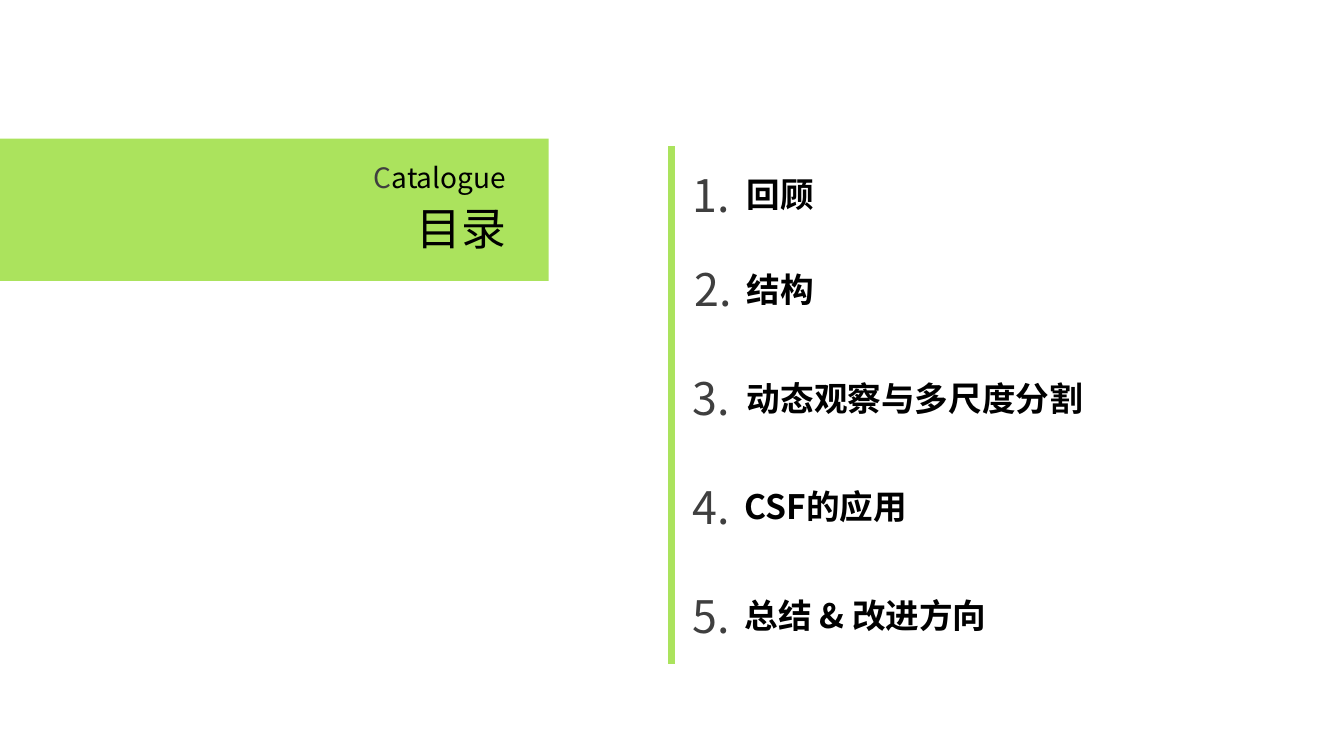
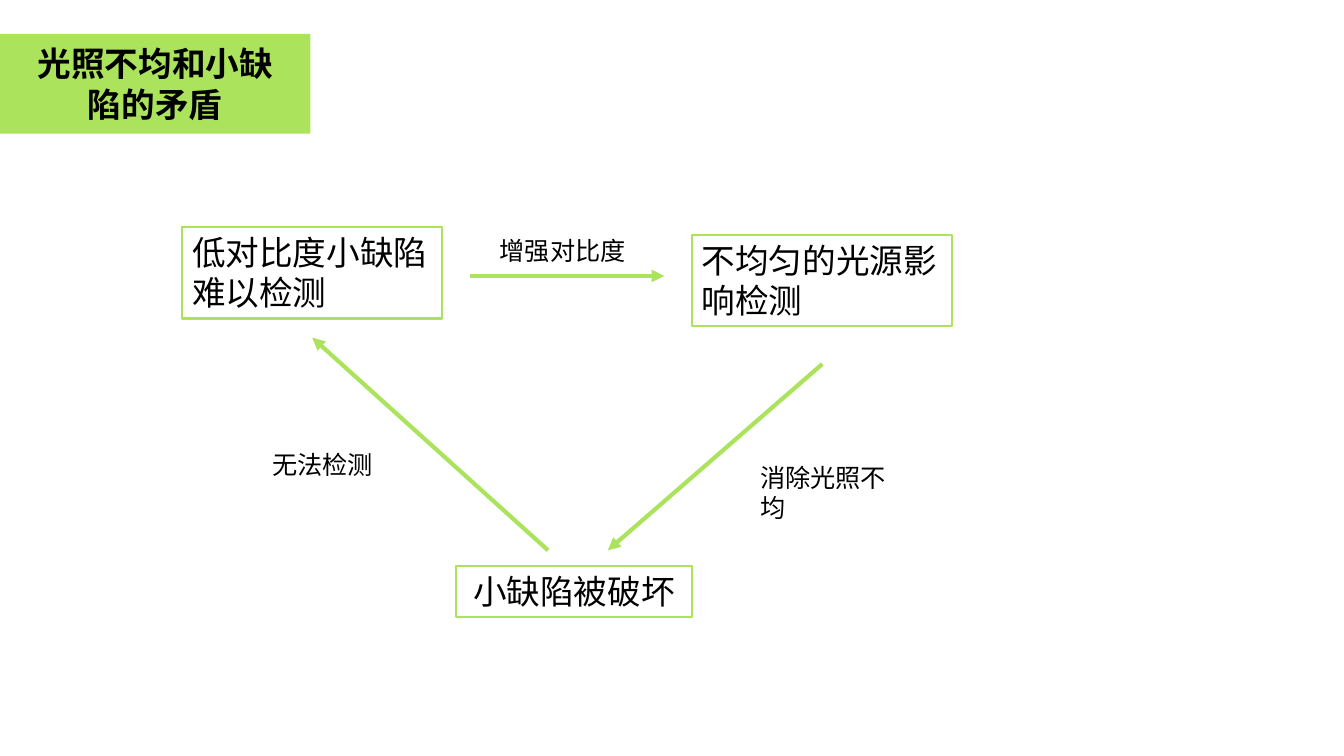
from dataclasses import dataclass
from typing import NamedTuple

from lxml.etree import SubElement
from pptx import Presentation
from pptx.dml.color import RGBColor
from pptx.enum.lang import MSO_LANGUAGE_ID as Lang
from pptx.enum.shapes import MSO_CONNECTOR as Connector
from pptx.enum.shapes import MSO_SHAPE as Preset
from pptx.enum.text import MSO_ANCHOR as Anchor
from pptx.enum.text import MSO_AUTO_SIZE as AutoSize
from pptx.enum.text import PP_ALIGN as Align
from pptx.oxml.ns import qn
from pptx.shapes.autoshape import Shape
from pptx.slide import Slide
from pptx.util import Pt


@dataclass(frozen=True)
class Theme:
    green: RGBColor = RGBColor(0xAB, 0xE3, 0x5D)
    black: RGBColor = RGBColor(0, 0, 0)
    grey: RGBColor = RGBColor(0x3F, 0x3F, 0x3F)
    cjk_font: str = "Noto Sans CJK JP"
    diagram_font: str = "Lato"
    display: float = 32
    heading: float = 24
    subtitle: float = 20
    label: float = 18
    outline: float = 1.5
    arrow: float = 3
    rule: float = 5


THEME = Theme()


class Frame(NamedTuple):
    left: float
    top: float
    width: float
    height: float


class Point(NamedTuple):
    x: float
    y: float


@dataclass(frozen=True)
class Words:
    text: str
    size: float
    color: RGBColor = THEME.black
    bold: bool = False
    font: str = THEME.cjk_font


@dataclass(frozen=True)
class Entry:
    title: str
    number_at: Point
    title_at: Point
    title_width: float


@dataclass(frozen=True)
class Step:
    text: str
    frame: Frame
    align: Align = Align.LEFT


@dataclass(frozen=True)
class Transition:
    label: str
    label_frame: Frame
    start: Point
    end: Point


def write(shape: Shape, runs: list[Words], align: Align, anchor: Anchor,
          inset: bool) -> None:
    frame = shape.text_frame
    frame.word_wrap = True
    frame.auto_size = AutoSize.SHAPE_TO_FIT_TEXT
    frame.vertical_anchor = anchor
    frame.margin_left = frame.margin_right = Pt(7.2 if inset else 0)
    frame.margin_top = frame.margin_bottom = Pt(3.6 if inset else 0)
    paragraph = frame.paragraphs[0]
    paragraph.alignment = align
    for words in runs:
        run = paragraph.add_run()
        run.text = words.text
        font = run.font
        font.language_id = Lang.SIMPLIFIED_CHINESE
        font.size = Pt(words.size)
        font.bold = words.bold
        font.color.rgb = words.color
        font.name = words.font
        SubElement(run._r.rPr, qn("a:ea"), typeface=THEME.cjk_font)


def add_text(slide: Slide, frame: Frame, *runs: Words, align: Align = Align.LEFT,
             anchor: Anchor = Anchor.TOP, inset: bool = False) -> None:
    box = slide.shapes.add_textbox(*map(Pt, frame))
    write(box, list(runs), align, anchor, inset)


def add_rectangle(slide: Slide, frame: Frame) -> Shape:
    rectangle = slide.shapes.add_shape(Preset.RECTANGLE, *map(Pt, frame))
    rectangle.shadow.inherit = False
    return rectangle


def add_band(slide: Slide, frame: Frame) -> None:
    band = add_rectangle(slide, frame)
    band.fill.solid()
    band.fill.fore_color.rgb = THEME.green
    band.line.fill.background()


def add_line(slide: Slide, start: Point, end: Point, width: float,
             arrow: bool = False) -> None:
    line = slide.shapes.add_connector(Connector.STRAIGHT, *map(Pt, start + end))
    line.line.color.rgb = THEME.green
    line.line.width = Pt(width)
    properties = line._element.spPr
    if arrow:
        SubElement(properties.find(qn("a:ln")), qn("a:tailEnd"), type="triangle")
    SubElement(properties, qn("a:effectLst"))


def add_entry(slide: Slide, number: int, entry: Entry) -> None:
    add_text(slide, Frame(*entry.number_at, 30.2, 38.8),
             Words(f"{number}.", THEME.display, THEME.grey), anchor=Anchor.MIDDLE)
    add_text(slide, Frame(*entry.title_at, entry.title_width, 29),
             Words(entry.title, THEME.heading, bold=True))


def add_step(slide: Slide, step: Step) -> None:
    box = add_rectangle(slide, step.frame)
    box.fill.background()
    box.line.color.rgb = THEME.green
    box.line.width = Pt(THEME.outline)
    write(box, [Words(step.text, THEME.heading, font=THEME.diagram_font)],
          step.align, Anchor.TOP, True)


def add_transition(slide: Slide, transition: Transition) -> None:
    add_line(slide, transition.start, transition.end, THEME.arrow, arrow=True)
    add_text(slide, transition.label_frame,
             Words(transition.label, THEME.label, font=THEME.diagram_font), inset=True)


def build_catalogue(slide: Slide) -> None:
    add_band(slide, Frame(0, 99.1, 391.9, 101.5))
    add_text(slide, Frame(200.9, 114.5, 160.6, 24.5),
             Words("C", THEME.subtitle, THEME.grey),
             Words("atalogue", THEME.subtitle),
             align=Align.RIGHT, anchor=Anchor.MIDDLE)
    add_text(slide, Frame(249.8, 143.3, 111.7, 38.8), Words("目录", THEME.display),
             align=Align.RIGHT, anchor=Anchor.MIDDLE)
    second, pitch = 186.9, 77.7
    tops = [119.9] + [second + pitch * row for row in range(4)]
    entries = [
        Entry("回顾", Point(494.6, tops[0]), Point(533.5, tops[0] + 4.3), 156.2),
        Entry("结构", Point(496, tops[1]), Point(533.5, tops[1] + 5.2), 244.8),
        Entry("动态观察与多尺度分割", Point(494.6, tops[2]),
              Point(533.5, tops[2] + 5), 272.2),
        Entry("CSF的应用", Point(494.6, tops[3]), Point(532, tops[3] + 5), 259.2),
        Entry("总结 & 改进方向", Point(494.6, tops[4]),
              Point(532, tops[4] + 5), 193),
    ]
    for number, entry in enumerate(entries, start=1):
        add_entry(slide, number, entry)
    add_line(slide, Point(480, 104.4), Point(480, 474.5), THEME.rule)


def build_contradiction(slide: Slide) -> None:
    add_band(slide, Frame(0, 24.3, 221.7, 71.2))
    add_text(slide, Frame(24.1, 30.8, 173.5, 58.3),
             Words("光照不均和小缺陷的矛盾", THEME.heading, bold=True),
             align=Align.CENTER)
    steps = [
        Step("低对比度小缺陷难以检测", Frame(130.2, 162.1, 185.6, 65.4)),
        Step("不均匀的光源影响检测", Frame(494.2, 167.7, 185.8, 65.4)),
        Step("小缺陷被破坏", Frame(325.7, 404.6, 168.6, 36.3), Align.CENTER),
    ]
    transitions = [
        Transition("增强对比度", Frame(349.9, 164.2, 110.2, 29),
                   Point(335.5, 197.1), Point(474.5, 197.1)),
        Transition("消除光照不均", Frame(535.9, 326.7, 110.2, 51),
                   Point(587.4, 260), Point(434.2, 393.1)),
        Transition("无法检测", Frame(187.3, 317.3, 110.2, 29),
                   Point(391.5, 393.1), Point(223.1, 241.2)),
    ]
    for step in steps:
        add_step(slide, step)
    for transition in transitions:
        add_transition(slide, transition)


def main() -> None:
    deck = Presentation()
    deck.slide_width, deck.slide_height = Pt(960), Pt(540)
    blank = deck.slide_layouts[6]
    for build in (build_catalogue, build_contradiction):
        build(deck.slides.add_slide(blank))
    deck.save("out.pptx")


if __name__ == "__main__":
    main()
